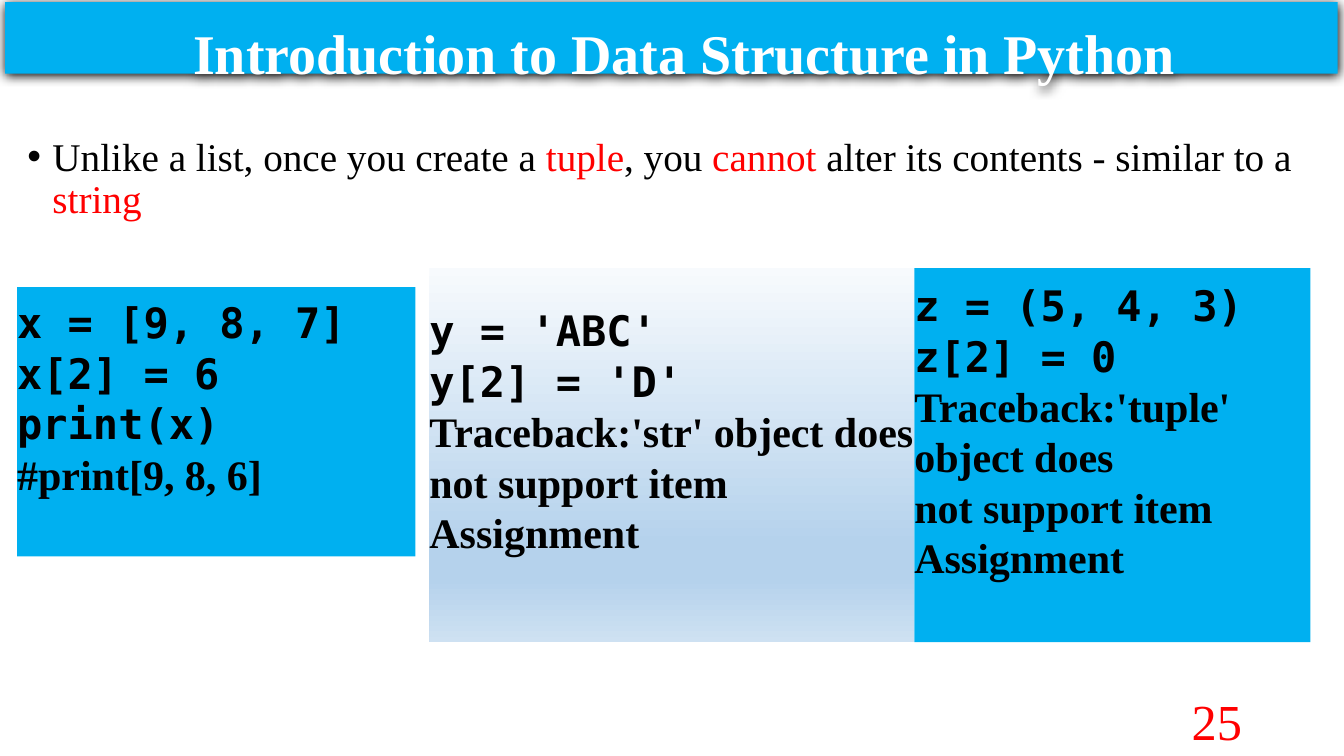
"""Build a slide on tuples that cannot be altered."""
from dataclasses import dataclass

from lxml.etree import SubElement
from pptx import Presentation
from pptx.dml.color import RGBColor
from pptx.enum.shapes import MSO_SHAPE
from pptx.enum.text import MSO_ANCHOR, MSO_AUTO_SIZE, PP_ALIGN
from pptx.oxml.ns import qn
from pptx.util import Inches, Pt

WIDE, HIGH = Inches(13.333), Inches(7.5)
SERIF, MONO = "Times New Roman", "DejaVu Sans Mono"
BLUE, RED, BLACK, WHITE = "00B0F0", "FF0000", "000000", "FFFFFF"
FADE = ((0, "F7FAFD"), (74, "B5D2EC"), (83, "B5D2EC"), (100, "CEE1F2"))


@dataclass(frozen=True)
class Area:
    """Hold a place as percent shares of the slide's width and height."""
    left: float
    top: float
    width: float
    height: float

    def spots(self) -> tuple[int, int, int, int]:
        """Return left, top, width and height as lengths."""
        return (int(WIDE * self.left / 100), int(HIGH * self.top / 100),
                int(WIDE * self.width / 100), int(HIGH * self.height / 100))


@dataclass(frozen=True)
class Panel:
    """Describe one box of code with the result below it."""
    area: Area
    code: tuple[str, ...]
    result: tuple[str, ...]
    fade: bool = False


ERROR = ("not support item", "Assignment")
PANELS = (
    Panel(Area(1.28, 38, 29.63, 35.6),
          ("x = [9, 8, 7]", "x[2] = 6", "print(x)"), ("#print[9, 8, 6]",)),
    Panel(Area(31.95, 35.47, 36.08, 49.47), ("y = 'ABC'", "y[2] = 'D'"),
          ("Traceback:'str' object does", *ERROR), fade=True),
    Panel(Area(68.03, 35.47, 29.48, 49.47), ("z = (5, 4, 3)", "z[2] = 0"),
          ("Traceback:'tuple' object does", *ERROR)),
)
POINT = (("Unlike a list, once you create a ", BLACK), ("tuple", RED),
         (", you ", BLACK), ("cannot", RED),
         (" alter its contents - similar to a ", BLACK), ("string", RED))


def hue(code: str) -> RGBColor:
    """Turn a hex string into a colour."""
    return RGBColor.from_string(code)


def grow(base, tag: str, **attrs):
    """Add a drawing element with its attributes."""
    return SubElement(base, qn(f"a:{tag}"), {k: str(v) for k, v in attrs.items()})


def write(para, text: str, size: float = 30, font: str = SERIF,
          color: str = BLACK, bold: bool = False) -> None:
    """Add a run of text in the given format."""
    run = para.add_run()
    run.text = text
    run.font.size, run.font.name, run.font.bold = Pt(size), font, bold
    run.font.color.rgb = hue(color)


def place(shape, area: Area) -> None:
    """Move a shape to its area."""
    shape.left, shape.top, shape.width, shape.height = area.spots()


def setup(shape, anchor: MSO_ANCHOR, pads: tuple[float, ...] = (0.1, 0.05, 0.1, 0.05)):
    """Set wrap, anchor and insets, and return the text frame."""
    frame = shape.text_frame
    frame.word_wrap, frame.auto_size = True, MSO_AUTO_SIZE.NONE
    frame.vertical_anchor = anchor
    (frame.margin_left, frame.margin_top,
     frame.margin_right, frame.margin_bottom) = map(Inches, pads)
    return frame


def blend(shape) -> None:
    """Fill a shape with the downward fade."""
    fill = grow(shape.element.spPr, "gradFill", rotWithShape=1)
    stops = grow(fill, "gsLst")
    for share, code in FADE:
        grow(grow(stops, "gs", pos=share * 1000), "srgbClr", val=code)
    grow(fill, "lin", ang=90 * 60000, scaled=0)


def paint(shape) -> None:
    """Fill a shape with plain blue."""
    shape.fill.solid()
    shape.fill.fore_color.rgb = hue(BLUE)


def head(title) -> None:
    """Draw the title bar with its shadow."""
    place(title, Area(0.38, 0.27, 99.15, 9.47))
    paint(title)
    shade = grow(grow(title.element.spPr, "effectLst"), "outerShdw",
                 blurRad=Pt(8.5), dist=Pt(1), dir=90 * 60000,
                 algn="t", rotWithShape=0)
    grow(shade, "srgbClr", val=BLACK)
    para = setup(title, MSO_ANCHOR.TOP, (0.35, 0.24, 0.1, 0)).paragraphs[0]
    para.alignment, para.line_spacing = PP_ALIGN.CENTER, 0.9
    write(para, "Introduction to Data Structure in Python",
          size=40, color=WHITE, bold=True)


def point(body) -> None:
    """Write the bullet with its key words in red."""
    place(body, Area(1.28, 17.47, 97.43, 63.47))
    para = setup(body, MSO_ANCHOR.TOP).paragraphs[0]
    para.line_spacing, para.space_before = 0.9, Pt(10)
    props = para._p.get_or_add_pPr()
    props.set("marL", str(Inches(0.25)))
    props.set("indent", str(-Inches(0.25)))
    for text, color in POINT:
        write(para, text, size=28, color=color)


def panel(slide, item: Panel) -> None:
    """Draw one box of code."""
    box = slide.shapes.add_shape(MSO_SHAPE.RECTANGLE, *item.area.spots())
    (blend if item.fade else paint)(box)
    box.line.fill.background()
    box.shadow.inherit = False
    frame = setup(box, MSO_ANCHOR.MIDDLE, (0, 0, 0, 0.48))
    lines = [(t, MONO) for t in item.code] + [(t, SERIF) for t in item.result]
    for row, (text, font) in enumerate(lines):
        para = frame.add_paragraph() if row else frame.paragraphs[0]
        para.alignment = PP_ALIGN.LEFT
        write(para, text, font=font, bold=True)


def number(slide) -> None:
    """Write the slide number."""
    box = slide.shapes.add_textbox(*Area(70.65, 92.67, 22.5, 5.33).spots())
    para = setup(box, MSO_ANCHOR.MIDDLE).paragraphs[0]
    para.alignment = PP_ALIGN.RIGHT
    write(para, "25", size=36, color=RED)


def main() -> None:
    """Build and save the slide."""
    deck = Presentation()
    deck.slide_width, deck.slide_height = WIDE, HIGH
    slide = deck.slides.add_slide(deck.slide_layouts[1])
    head(slide.shapes.title)
    point(slide.placeholders[1])
    number(slide)
    for item in PANELS:
        panel(slide, item)
    deck.save("out.pptx")


if __name__ == "__main__":
    main()
